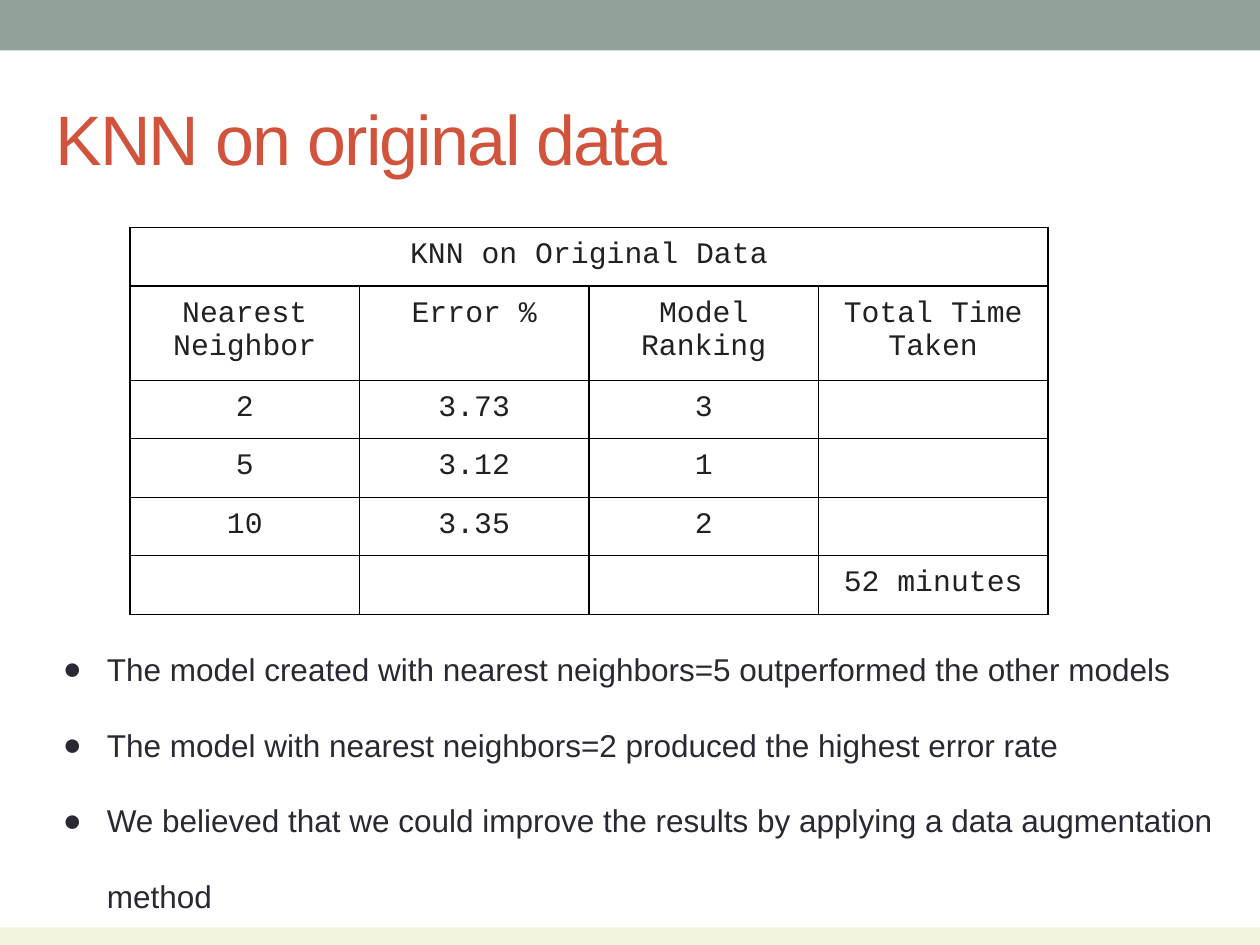
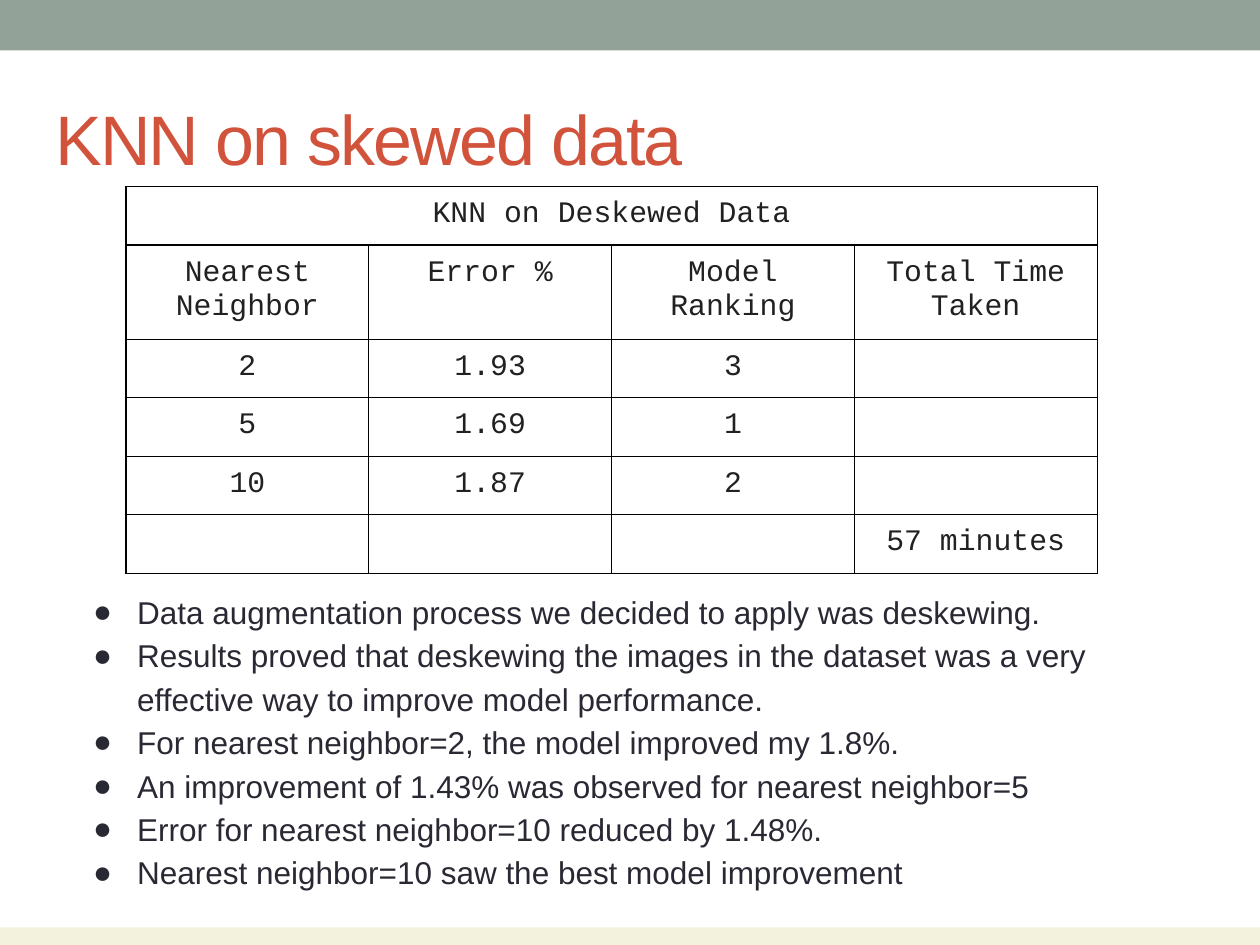
from lxml import etree
from pptx import Presentation
from pptx.dml.color import RGBColor
from pptx.enum.shapes import MSO_SHAPE
from pptx.enum.text import MSO_ANCHOR, PP_ALIGN
from pptx.oxml.ns import qn
from pptx.util import Pt

RECTANGLE = MSO_SHAPE.RECTANGLE
MIDDLE, TOP = MSO_ANCHOR.MIDDLE, MSO_ANCHOR.TOP
CENTER = PP_ALIGN.CENTER

COLORS = {
    "top band": "93A299",
    "bottom band": "F3F2DC",
    "title": "D2533C",
    "body": "292934",
    "cell": "212121",
    "border": "000000",
}
SANS, MONO = "Arial", "Courier New"
WIDTH, HEIGHT = 720, 540
INSET = 7.2
TITLE_BOX = (24.5, 46.8, 671, 64)
ROW_HEIGHT, HEADER_HEIGHT = 33.3, 52
HEADERS = ["Nearest Neighbor", "Error %", "Model Ranking", "Total Time Taken"]


def color(name):
    """Return the named colour."""
    return RGBColor.from_string(COLORS[name])


def points(*lengths):
    """Turn numbers into point lengths."""
    return [Pt(length) for length in lengths]


def set_font(paragraph, name, size, color_name):
    """Set face, size and colour for a whole paragraph."""
    font = paragraph.font
    font.name, font.size = name, Pt(size)
    font.color.rgb = color(color_name)


def add_band(slide, box, color_name):
    """Draw a plain band across the slide."""
    band = slide.shapes.add_shape(RECTANGLE, *points(*box))
    band.shadow.inherit = False
    band.fill.solid()
    band.fill.fore_color.rgb = color(color_name)
    band.line.fill.background()


def add_text_frame(slide, box, anchor):
    """Add a wrapping text box and return its frame."""
    frame = slide.shapes.add_textbox(*points(*box)).text_frame
    frame.word_wrap = True
    frame.vertical_anchor = anchor
    frame.margin_left = frame.margin_right = Pt(INSET)
    frame.margin_top = frame.margin_bottom = Pt(INSET)
    return frame


def add_title(slide, box, text):
    """Write the slide title with tightened letters."""
    paragraph = add_text_frame(slide, box, MIDDLE).paragraphs[0]
    run = paragraph.add_run()
    run.text = text
    run._r.get_or_add_rPr().set("spc", "-100")
    set_font(paragraph, SANS, 40, "title")


def add_borders(cell):
    """Draw a thin line on all four sides of a cell."""
    properties = cell._tc.get_or_add_tcPr()
    for side in ("a:lnL", "a:lnR", "a:lnT", "a:lnB"):
        line = etree.SubElement(properties, qn(side), w=str(Pt(0.75)))
        fill = etree.SubElement(line, qn("a:solidFill"))
        etree.SubElement(fill, qn("a:srgbClr"), val=COLORS["border"])


def format_cell(cell, text):
    """Fill in one table cell."""
    cell.margin_left = cell.margin_right = Pt(5)
    cell.margin_top = cell.margin_bottom = Pt(6.5)
    cell.text = text
    paragraph = cell.text_frame.paragraphs[0]
    paragraph.alignment = CENTER
    set_font(paragraph, MONO, 17, "cell")
    add_borders(cell)
    cell.fill.background()


def add_results_table(slide, left, top, width, caption, errors, minutes):
    """Tabulate the error and ranking for each neighbor count."""
    ranking = sorted(errors.values())
    rows = [[caption, "", "", ""], HEADERS]
    for neighbors, error in errors.items():
        rows.append([str(neighbors), f"{error:.2f}", str(ranking.index(error) + 1), ""])
    rows.append(["", "", "", f"{minutes} minutes"])
    height = HEADER_HEIGHT + ROW_HEIGHT * (len(rows) - 1)
    table = slide.shapes.add_table(
        len(rows), len(HEADERS), *points(left, top, width, height)
    ).table
    table.first_row = table.horz_banding = False
    for column in table.columns:
        column.width = Pt(width / len(HEADERS))
    for row_index, texts in enumerate(rows):
        is_header = texts is HEADERS
        table.rows[row_index].height = Pt(HEADER_HEIGHT if is_header else ROW_HEIGHT)
        for column_index, text in enumerate(texts):
            format_cell(table.cell(row_index, column_index), text)
    table.cell(0, 0).merge(table.cell(0, len(HEADERS) - 1))


def add_bullets(slide, box, items, line_spacing):
    """List the findings with round bullets."""
    frame = add_text_frame(slide, box, TOP)
    for index, item in enumerate(items):
        paragraph = frame.add_paragraph() if index else frame.paragraphs[0]
        paragraph.text = item
        paragraph.line_spacing = line_spacing
        set_font(paragraph, SANS, 18, "body")
        properties = paragraph._p.get_or_add_pPr()
        properties.set("marL", str(Pt(36)))
        properties.set("indent", str(-Pt(25.2)))
        bullet_font = etree.Element(qn("a:buFont"), typeface=SANS)
        bullet = etree.Element(qn("a:buChar"), char="●")
        defaults = properties.find(qn("a:defRPr"))
        defaults.addprevious(bullet_font)
        defaults.addprevious(bullet)


def add_base_slide(presentation, title):
    """Add a blank slide with both bands and a title."""
    slide = presentation.slides.add_slide(presentation.slide_layouts[6])
    add_band(slide, (0, 0, WIDTH, 28.8), "top band")
    add_band(slide, (0, 530, WIDTH, 10), "bottom band")
    add_title(slide, TITLE_BOX, title)
    return slide


def main():
    """Build and save the presentation."""
    presentation = Presentation()
    presentation.slide_width, presentation.slide_height = points(WIDTH, HEIGHT)

    slide = add_base_slide(presentation, "KNN on original data")
    add_results_table(slide, 74.3, 130, 524.6, "KNN on Original Data",
                      {2: 3.73, 5: 3.12, 10: 3.35}, 52)
    add_bullets(slide, (18, 342.7, 695.5, 57.6), [
        "The model created with nearest neighbors=5 outperformed the other models",
        "The model with nearest neighbors=2 produced the highest error rate",
        "We believed that we could improve the results by applying a data "
        "augmentation method",
    ], 2.0)

    slide = add_base_slide(presentation, "KNN on skewed data")
    add_results_table(slide, 72, 106.6, 555, "KNN on Deskewed Data",
                      {2: 1.93, 5: 1.69, 10: 1.87}, 57)
    add_bullets(slide, (35.3, 328.3, 660, 203.8), [
        "Data augmentation process we decided to apply was deskewing.",
        "Results proved that deskewing the images in the dataset was a very "
        "effective way to improve model performance.",
        "For nearest neighbor=2, the model improved my 1.8%.",
        "An improvement of 1.43% was observed for nearest neighbor=5",
        "Error for nearest neighbor=10 reduced by 1.48%.",
        "Nearest neighbor=10 saw the best model improvement",
    ], 1.15)

    presentation.save("out.pptx")


main()
